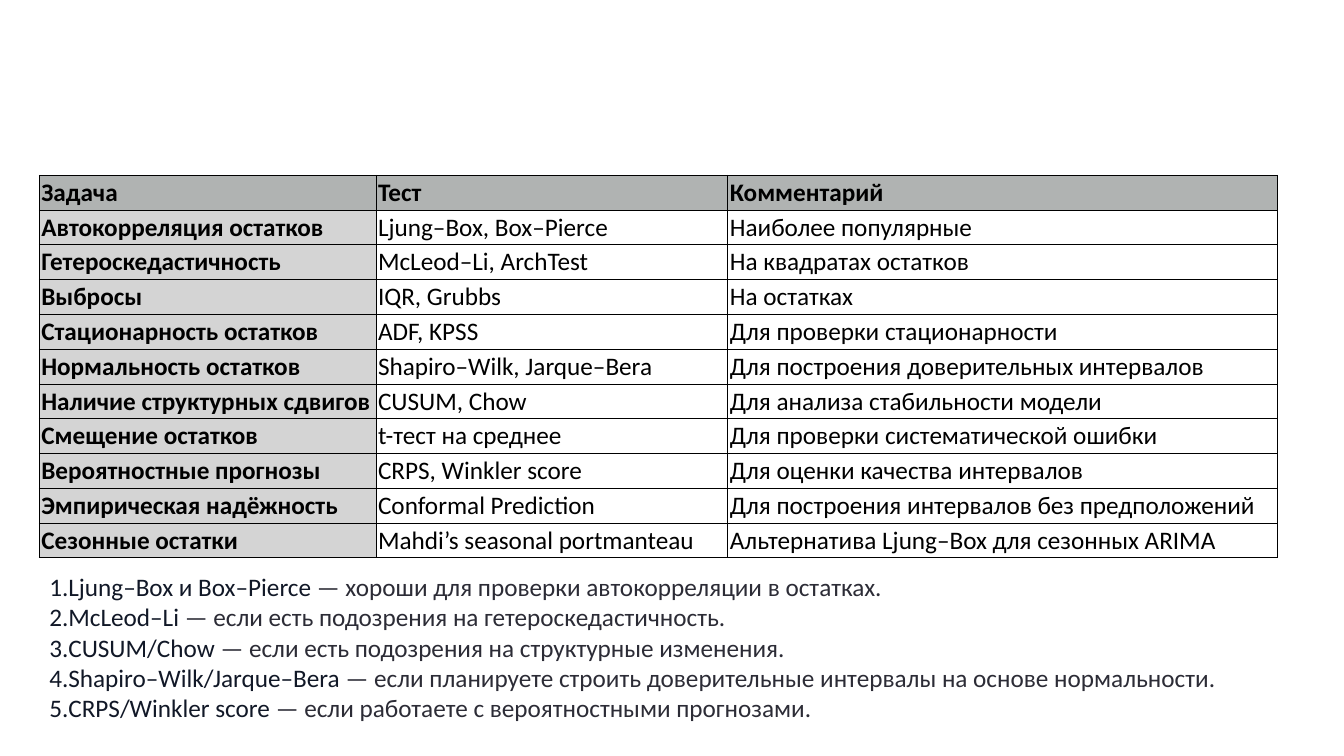
from lxml import etree
from pptx import Presentation
from pptx.dml.color import RGBColor
from pptx.enum.text import MSO_ANCHOR, MSO_AUTO_SIZE
from pptx.oxml.ns import qn
from pptx.util import Inches, Pt

MIDDLE = MSO_ANCHOR.MIDDLE
GROW = MSO_AUTO_SIZE.SHAPE_TO_FIT_TEXT
BLACK, HEADER_GRAY, TASK_GRAY = "000000", "B0B3B2", "D4D4D4"
NAVY, CHARCOAL = "111827", "2C2C36"

COLUMN_WIDTHS = [3.34, 3.49, 5.45]
ROW_HEIGHT = 0.34
TESTS = [
    ("Задача", "Тест", "Комментарий"),
    ("Автокорреляция остатков", "Ljung–Box, Box–Pierce", "Наиболее популярные"),
    ("Гетероскедастичность", "McLeod–Li, ArchTest", "На квадратах остатков"),
    ("Выбросы", "IQR, Grubbs", "На остатках"),
    ("Стационарность остатков", "ADF, KPSS", "Для проверки стационарности"),
    ("Нормальность остатков", "Shapiro–Wilk, Jarque–Bera", "Для построения доверительных интервалов"),
    ("Наличие структурных сдвигов", "CUSUM, Chow", "Для анализа стабильности модели"),
    ("Смещение остатков", "t-тест на среднее", "Для проверки систематической ошибки"),
    ("Вероятностные прогнозы", "CRPS, Winkler score", "Для оценки качества интервалов"),
    ("Эмпирическая надёжность", "Conformal Prediction", "Для построения интервалов без предположений"),
    ("Сезонные остатки", "Mahdi’s seasonal portmanteau", "Альтернатива Ljung–Box для сезонных ARIMA"),
]
ADVICE = [
    ("Ljung–Box и Box–Pierce ", "— хороши для проверки автокорреляции в остатках."),
    ("McLeod–Li ", "— если есть подозрения на гетероскедастичность."),
    ("CUSUM/Chow ", "— если есть подозрения на структурные изменения."),
    ("Shapiro–Wilk/Jarque–Bera ",
     "— если планируете строить доверительные интервалы на основе нормальности."),
    ("CRPS/Winkler score ", "— если работаете с вероятностными прогнозами."),
]


def add_text(paragraph, text, color=BLACK, bold=False, size=18, font="Calibri"):
    run = paragraph.add_run()
    run.text = text
    run.font.name = font
    run.font.size = Pt(size)
    run.font.bold = bold
    run.font.color.rgb = RGBColor.from_string(color)


def add_borders(cell, color=BLACK, width=0.75):
    """Draw all four cell edges; call before the cell's fill is set."""
    properties = cell._tc.get_or_add_tcPr()
    for edge in ("a:lnL", "a:lnR", "a:lnT", "a:lnB"):
        line = etree.SubElement(properties, qn(edge), w=str(Pt(width)))
        fill = etree.SubElement(line, qn("a:solidFill"))
        etree.SubElement(fill, qn("a:srgbClr"), val=color)


prs = Presentation()
prs.slide_width = Inches(13.33)
prs.slide_height = Inches(7.5)
slide = prs.slides.add_slide(prs.slide_layouts[6])

# Table of tests
tests_table = slide.shapes.add_table(
    len(TESTS), len(COLUMN_WIDTHS), Inches(0.39), Inches(1.74),
    Inches(sum(COLUMN_WIDTHS)), Inches(ROW_HEIGHT * len(TESTS))).table
tests_table.first_row = False
tests_table.horz_banding = False
for column, width in zip(tests_table.columns, COLUMN_WIDTHS):
    column.width = Inches(width)

for r, entries in enumerate(TESTS):
    tests_table.rows[r].height = Inches(ROW_HEIGHT)
    for c, entry in enumerate(entries):
        cell = tests_table.cell(r, c)
        cell.margin_left = cell.margin_right = Inches(0.02)
        cell.margin_top = cell.margin_bottom = Inches(0.02)
        cell.vertical_anchor = MIDDLE
        add_borders(cell)
        is_heading = r == 0 or c == 0
        if is_heading:
            cell.fill.solid()
            cell.fill.fore_color.rgb = RGBColor.from_string(HEADER_GRAY if r == 0 else TASK_GRAY)
        else:
            cell.fill.background()
        add_text(cell.text_frame.paragraphs[0], entry, bold=is_heading)

# Numbered advice
advice_frame = slide.shapes.add_textbox(
    Inches(0.39), Inches(5.62), Inches(11.91), Inches(1.62)).text_frame
advice_frame.word_wrap = True
advice_frame.auto_size = GROW
for i, (test, usage) in enumerate(ADVICE):
    paragraph = advice_frame.paragraphs[0] if i == 0 else advice_frame.add_paragraph()
    numbering = paragraph._p.get_or_add_pPr()
    numbering.set("marL", "0")
    numbering.set("indent", "0")
    etree.SubElement(numbering, qn("a:buFont"), typeface="+mj-lt")
    etree.SubElement(numbering, qn("a:buAutoNum"), type="arabicPeriod")
    add_text(paragraph, test, color=NAVY)
    add_text(paragraph, usage, color=CHARCOAL)

prs.save("out.pptx")
